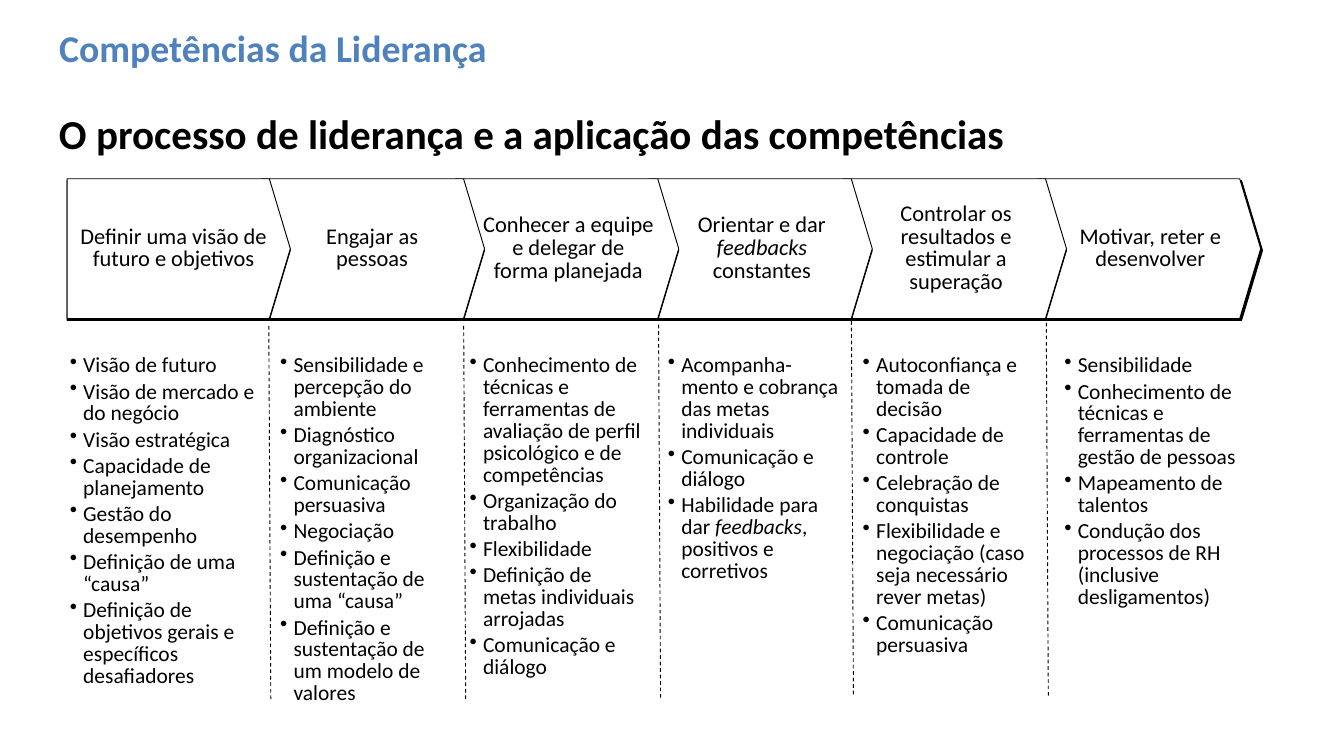
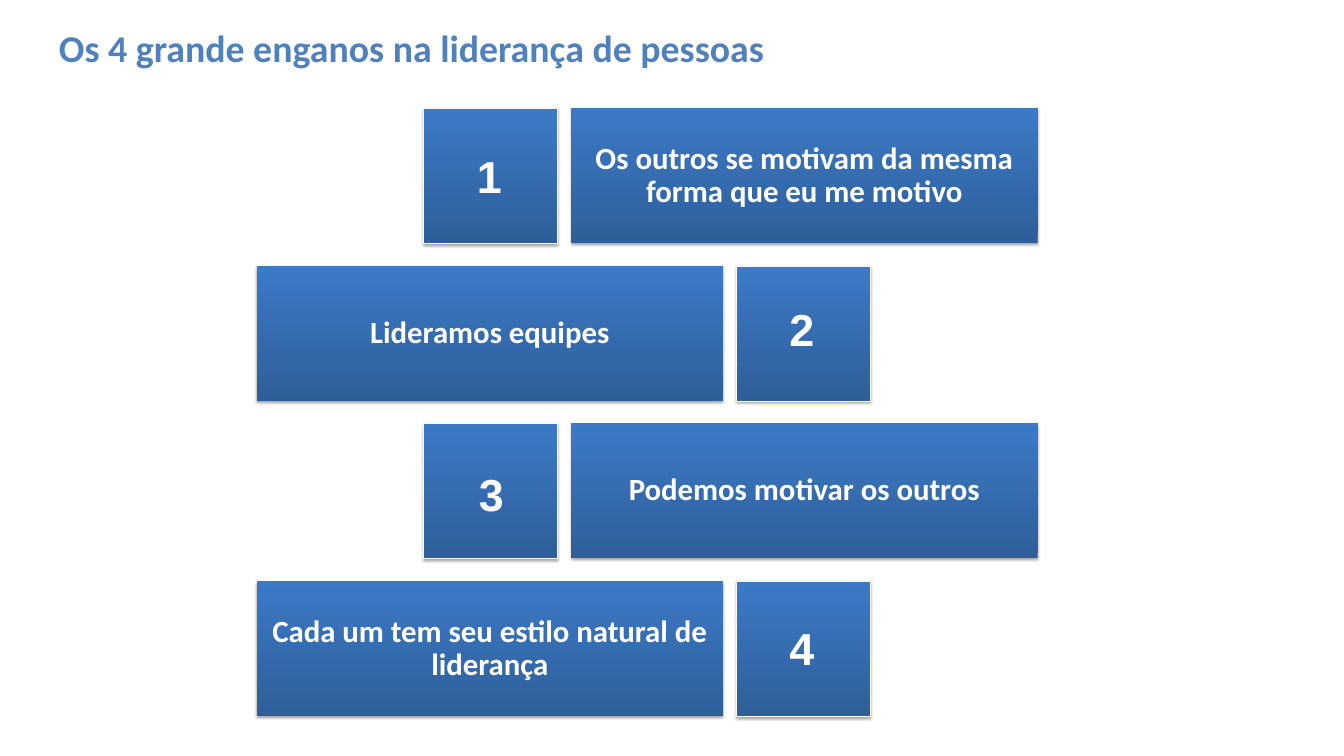
from lxml.etree import SubElement
from pptx import Presentation
from pptx.dml.color import RGBColor
from pptx.enum.dml import MSO_LINE
from pptx.enum.shapes import MSO_CONNECTOR, MSO_SHAPE
from pptx.enum.text import MSO_ANCHOR, MSO_AUTO_SIZE, PP_ALIGN
from pptx.oxml.ns import qn
from pptx.util import Pt

PX = 9144
BLACK = "000000"
WHITE = "FFFFFF"
TITLE_BLUE = "4F81BD"
DARK_BLUE = "2E5F99"
LIGHT_BLUE = "3C7AC7"
PALE_EDGE = "F9F9F9"
color = RGBColor.from_string


def write(box, lines, size, ink, bold=False, font="Calibri", align=PP_ALIGN.LEFT,
          spacing=None, before=None, after=None, indent=0, bullet=False):
    frame = box.text_frame
    frame.word_wrap = True
    for index, line in enumerate(lines):
        para = frame.add_paragraph() if index else frame.paragraphs[0]
        para.alignment = align
        para.line_spacing = spacing
        para.space_after = after
        if index:
            para.space_before = before
        properties = para._p.get_or_add_pPr()
        properties.set("marL", str(indent * PX))
        if bullet:
            properties.set("indent", str(-indent * PX))
            bullet_color = SubElement(properties, qn("a:buClr"))
            SubElement(bullet_color, qn("a:srgbClr"), val=ink)
            SubElement(properties, qn("a:buChar"), char="•")
        for part, words in enumerate(line.split("*")):
            span = para.add_run()
            span.text = words
            span.font.name = font
            span.font.size = Pt(size)
            span.font.bold = bold
            span.font.italic = part % 2 == 1
            span.font.color.rgb = color(ink)


def cast_shadow(shape, alpha, blur, distance, angle):
    shape.shadow.inherit = False
    effects = shape._element.spPr.find(qn("a:effectLst"))
    shadow = SubElement(effects, qn("a:outerShdw"), blurRad=str(Pt(blur)), dist=str(Pt(distance)),
                        dir=str(angle * 60000), algn="ctr", rotWithShape="0")
    shade = SubElement(shadow, qn("a:srgbClr"), val=BLACK)
    SubElement(shade, qn("a:alpha"), val=str(alpha * 1000))


deck = Presentation()
deck.slide_width = 2000 * PX
deck.slide_height = 1125 * PX

pages = []
for title, width in [
    ("Competências da Liderança", 1365),
    ("Os 4 grande enganos na liderança de pessoas", 1466),
]:
    page = deck.slides.add_slide(deck.slide_layouts[6])
    box = page.shapes.add_textbox(78 * PX, 35 * PX, width * PX, 71 * PX)
    box.text_frame.vertical_anchor = MSO_ANCHOR.MIDDLE
    write(box, [title], 40.5, TITLE_BLUE, bold=True)
    pages.append(page)
process_page, mistakes_page = pages

heading = process_page.shapes.add_textbox(78 * PX, 153 * PX, 1770 * PX, 906 * PX)
write(heading, ["O processo de liderança e a aplicação das competências"], 44, BLACK,
      bold=True, spacing=1.05, after=Pt(6.8))

steps = [
    (["Definir uma visão de futuro e objetivos"], 0),
    (["Engajar as", "pessoas"], 13),
    (["Conhecer a equipe e delegar de", "forma planejada"], 19),
    (["Orientar e dar *feedbacks* constantes"], 19),
    (["Controlar os resultados e estimular a superação"], 19),
    (["Motivar, reter e desenvolver"], 19),
]
last = len(steps) - 1
for index in range(last, -1, -1):
    lines, indent = steps[index]
    left = round(100 + 288.8 * index)
    arrow = process_page.shapes.add_shape(MSO_SHAPE.PENTAGON, left * PX, 266 * PX, 332 * PX, 208 * PX)
    arrow.adjustments[0] = 0.15
    arrow.fill.solid()
    arrow.fill.fore_color.rgb = color(WHITE)
    arrow.line.color.rgb = color(BLACK)
    arrow.line.width = Pt(1)
    if index == last:
        cast_shadow(arrow, 100, 0, 2.8, 45)
    else:
        cast_shadow(arrow, 100, 0, 2, 90)
    arrow.text_frame.vertical_anchor = MSO_ANCHOR.MIDDLE
    write(arrow, lines, 24, BLACK, align=PP_ALIGN.CENTER, spacing=0.85, indent=indent)

for left, top in [(400, 485), (690, 485), (980, 483), (1267, 478), (1557, 480)]:
    divider = process_page.shapes.add_connector(
        MSO_CONNECTOR.STRAIGHT, left * PX, top * PX, (left + 3) * PX, (top + 559) * PX)
    divider.line.color.rgb = color(BLACK)
    divider.line.width = Pt(1)
    divider.line.dash_style = MSO_LINE.DASH
    SubElement(divider._element.spPr, qn("a:effectLst"))

skills = [
    (94, 313, 504, [
        "Visão de futuro",
        "Visão de mercado e do negócio",
        "Visão estratégica",
        "Capacidade de planejamento",
        "Gestão do desempenho",
        "Definição de uma “causa”",
        "Definição de objetivos gerais e específicos desafiadores",
    ]),
    (407, 271, 530, [
        "Sensibilidade e percepção do ambiente",
        "Diagnóstico organizacional",
        "Comunicação persuasiva",
        "Negociação",
        "Definição e sustentação de uma “causa”",
        "Definição e sustentação de um modelo de valores",
    ]),
    (689, 287, 491, [
        "Conhecimento de técnicas e ferramentas de avaliação de perfil psicológico e de competências",
        "Organização do trabalho",
        "Flexibilidade",
        "Definição de metas individuais arrojadas",
        "Comunicação e diálogo",
    ]),
    (984, 274, 348, [
        "Acompanha-mento e cobrança das metas individuais",
        "Comunicação e diálogo",
        "Habilidade para dar *feedbacks*, positivos e corretivos",
    ]),
    (1274, 274, 459, [
        "Autoconfiança e tomada de decisão",
        "Capacidade de controle",
        "Celebração de conquistas",
        "Flexibilidade e negociação (caso seja necessário rever metas)",
        "Comunicação persuasiva",
    ]),
    (1574, 286, 387, [
        "Sensibilidade",
        "Conhecimento de técnicas e ferramentas de gestão de pessoas",
        "Mapeamento de talentos",
        "Condução dos processos de RH (inclusive desligamentos)",
    ]),
]
for left, width, height, items in skills:
    box = process_page.shapes.add_textbox(left * PX, 524 * PX, width * PX, height * PX)
    box.text_frame.auto_size = MSO_AUTO_SIZE.SHAPE_TO_FIT_TEXT
    write(box, items, 23, BLACK, spacing=0.85, before=Pt(4.6), indent=20, bullet=True)

mistakes = [
    ("Os outros se motivam da mesma forma que eu me motivo", 669, 216),
    ("Lideramos equipes", 1134, 444),
    ("Podemos motivar os outros", 672, 689),
    ("Cada um tem seu estilo natural de liderança", 1134, 919),
]
for row, (mistake, number_left, number_top) in enumerate(mistakes):
    top = round(161 + 704 * row / 3)
    bar_left, tile_left = [(850, 630), (382, 1096)][row % 2]
    group = mistakes_page.shapes.add_group_shape()
    bar = group.shapes.add_shape(MSO_SHAPE.RECTANGLE, bar_left * PX, top * PX, 694 * PX, 201 * PX)
    tile = group.shapes.add_shape(MSO_SHAPE.RECTANGLE, tile_left * PX, top * PX, 199 * PX, 201 * PX)
    for panel in (bar, tile):
        panel.fill.gradient()
        panel.fill.gradient_angle = 90
        for stop, tone in zip(panel.fill.gradient_stops, (DARK_BLUE, LIGHT_BLUE)):
            stop.color.rgb = color(tone)
        cast_shadow(panel, 35, 3.1, 1.8, 90)
    bar.line.fill.background()
    tile.line.color.rgb = color(PALE_EDGE)
    tile.line.width = Pt(0.5)

    frame = bar.text_frame
    frame.margin_left = frame.margin_right = frame.margin_top = frame.margin_bottom = 14 * PX
    frame.vertical_anchor = MSO_ANCHOR.MIDDLE
    write(bar, [mistake], 33, WHITE, bold=True, align=PP_ALIGN.CENTER, spacing=0.9, after=Pt(11.5))

    number = group.shapes.add_textbox(number_left * PX, number_top * PX, 118 * PX, 90 * PX)
    number.text_frame.auto_size = MSO_AUTO_SIZE.SHAPE_TO_FIT_TEXT
    write(number, [str(row + 1)], 48, WHITE, bold=True, font="Arial", align=PP_ALIGN.CENTER)

deck.save("out.pptx")
